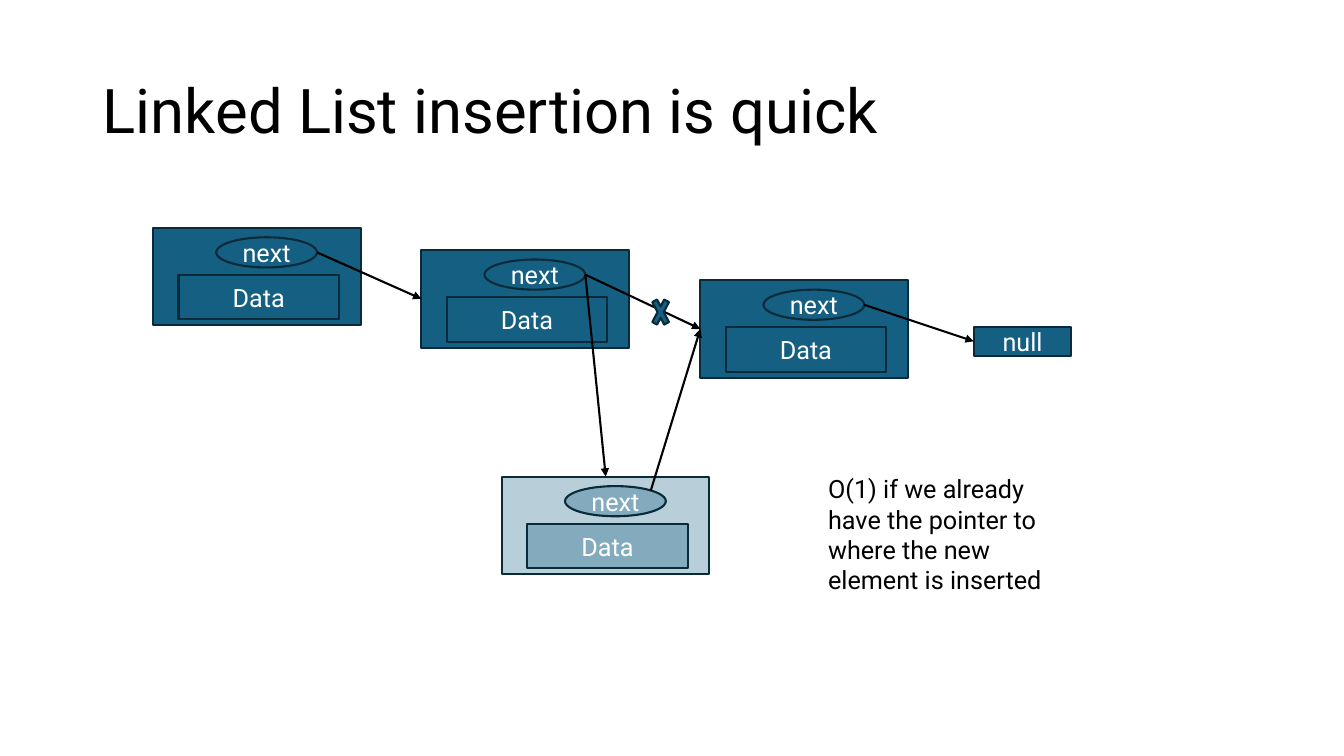
from dataclasses import dataclass

from lxml import etree
from pptx import Presentation
from pptx.dml.color import RGBColor
from pptx.enum.shapes import MSO_CONNECTOR, MSO_SHAPE
from pptx.enum.text import MSO_ANCHOR, PP_ALIGN
from pptx.oxml.ns import qn
from pptx.shapes.autoshape import Shape
from pptx.slide import Slide
from pptx.text.text import TextFrame
from pptx.util import Cm, Pt

RECTANGLE, ELLIPSE, CROSS = MSO_SHAPE.RECTANGLE, MSO_SHAPE.OVAL, MSO_SHAPE.MATH_MULTIPLY
STRAIGHT = MSO_CONNECTOR.STRAIGHT
MIDDLE, TOP = MSO_ANCHOR.MIDDLE, MSO_ANCHOR.TOP
LEFT, CENTER = PP_ALIGN.LEFT, PP_ALIGN.CENTER

TEAL = RGBColor(0x15, 0x60, 0x82)
DARK_TEAL = RGBColor(0x09, 0x2A, 0x39)
BLACK = RGBColor(0, 0, 0)
WHITE = RGBColor(0xFF, 0xFF, 0xFF)

FONT = "Roboto"
BODY_SIZE = 18
LINE_WIDTH = Pt(1.5)

Point = tuple[float, float]


@dataclass(frozen=True)
class Box:
    """A rectangle in centimetres."""

    left: float
    top: float
    width: float
    height: float

    def lengths(self) -> tuple[Cm, Cm, Cm, Cm]:
        return Cm(self.left), Cm(self.top), Cm(self.width), Cm(self.height)

    def at(self, x: float, y: float) -> Point:
        """Point at the given fractions of width and height."""
        return self.left + x * self.width, self.top + y * self.height


@dataclass(frozen=True)
class Node:
    """A list element with its pointer and its data field."""

    left: float
    top: float
    box_opacity: int = 100
    field_opacity: int = 100

    def box(self) -> Box:
        return Box(self.left, self.top, 5.23, 2.46)

    def pointer(self) -> Box:
        return Box(self.left + 1.59, self.top + 0.24, 2.54, 0.76)

    def data(self) -> Box:
        return Box(self.left + 0.64, self.top + 1.19, 4.04, 1.12)


FIRST = Node(3.86, 5.74)
SECOND = Node(10.62, 6.3)
THIRD = Node(17.65, 7.06)
INSERTED = Node(12.65, 12.01, box_opacity=30, field_opacity=32)
NULL_BOX = Box(24.54, 8.23, 2.46, 0.74)
CROSS_BOX = Box(16.36, 7.32, 0.58, 1.09)
TITLE_BOX = Box(2.34, 1.02, 29.21, 3.68)
NOTE_BOX = Box(20.62, 11.81, 6.45, 3.33)

ARROWS = [
    (FIRST.pointer().at(1, 0.5), SECOND.box().at(0, 0.5)),
    (SECOND.pointer().at(1, 0.5), THIRD.box().at(0, 0.5)),
    (THIRD.pointer().at(1, 0.5), NULL_BOX.at(0, 0.5)),
    (SECOND.pointer().at(1, 0.5), INSERTED.box().at(0.5, 0)),
    (INSERTED.pointer().at(0.85, 0.15), THIRD.box().at(0, 0.5)),
]


def set_values(target: object, values: dict[str, object]) -> None:
    for name, value in values.items():
        setattr(target, name, value)


def write_text(frame: TextFrame, text: str, size: int, color: RGBColor,
               alignment: PP_ALIGN) -> None:
    paragraph = frame.paragraphs[0]
    paragraph.alignment = alignment
    run = paragraph.add_run()
    run.text = text
    set_values(run.font, {"name": FONT, "size": Pt(size)})
    run.font.color.rgb = color


def add_filled_shape(slide: Slide, kind: MSO_SHAPE, box: Box, text: str = "",
                     opacity: int = 100) -> Shape:
    shape = slide.shapes.add_shape(kind, *box.lengths())
    shape.shadow.inherit = False
    shape.fill.solid()
    shape.fill.fore_color.rgb = TEAL
    shape.line.color.rgb = DARK_TEAL
    shape.line.width = LINE_WIDTH
    if opacity < 100:
        color = shape.fill._xPr.find(qn("a:solidFill"))[0]
        etree.SubElement(color, qn("a:alpha"), val=str(opacity * 1000))
    if text:
        set_values(shape.text_frame, {
            "margin_left": 0, "margin_right": 0, "margin_top": 0,
            "margin_bottom": 0, "vertical_anchor": MIDDLE, "word_wrap": False,
        })
        write_text(shape.text_frame, text, BODY_SIZE, WHITE, CENTER)
    return shape


def add_node(slide: Slide, node: Node) -> None:
    add_filled_shape(slide, RECTANGLE, node.box(), opacity=node.box_opacity)
    add_filled_shape(slide, ELLIPSE, node.pointer(), "next", node.field_opacity)
    add_filled_shape(slide, RECTANGLE, node.data(), "Data", node.field_opacity)


def add_arrow(slide: Slide, start: Point, end: Point) -> None:
    connector = slide.shapes.add_connector(
        STRAIGHT, *(Cm(value) for value in start + end))
    connector.line.color.rgb = BLACK
    connector.line.width = LINE_WIDTH
    properties = connector.line._get_or_add_ln()
    etree.SubElement(properties, qn("a:tailEnd"), type="triangle")
    etree.SubElement(connector._element.spPr, qn("a:effectLst"))


def add_text(slide: Slide, box: Box, text: str, size: int, anchor: MSO_ANCHOR,
             spacing: float) -> None:
    frame = slide.shapes.add_textbox(*box.lengths()).text_frame
    set_values(frame, {"word_wrap": True, "vertical_anchor": anchor})
    write_text(frame, text, size, BLACK, LEFT)
    frame.paragraphs[0].line_spacing = spacing


def main() -> None:
    presentation = Presentation()
    presentation.slide_width = Cm(33.87)
    presentation.slide_height = Cm(19.05)
    slide = presentation.slides.add_slide(presentation.slide_layouts[6])

    # Title
    add_text(slide, TITLE_BOX, "Linked List insertion is quick", 44, MIDDLE, 0.9)

    # List elements and the end of the list
    for node in (FIRST, SECOND, THIRD, INSERTED):
        add_node(slide, node)
    add_filled_shape(slide, RECTANGLE, NULL_BOX, "null")

    # Pointers, with the removed one crossed out
    for start, end in ARROWS:
        add_arrow(slide, start, end)
    add_filled_shape(slide, CROSS, CROSS_BOX)

    # Note on the cost
    add_text(slide, NOTE_BOX,
             "O(1) if we already have the pointer to where the new element is inserted",
             BODY_SIZE, TOP, 1.0)

    presentation.save("out.pptx")


if __name__ == "__main__":
    main()
